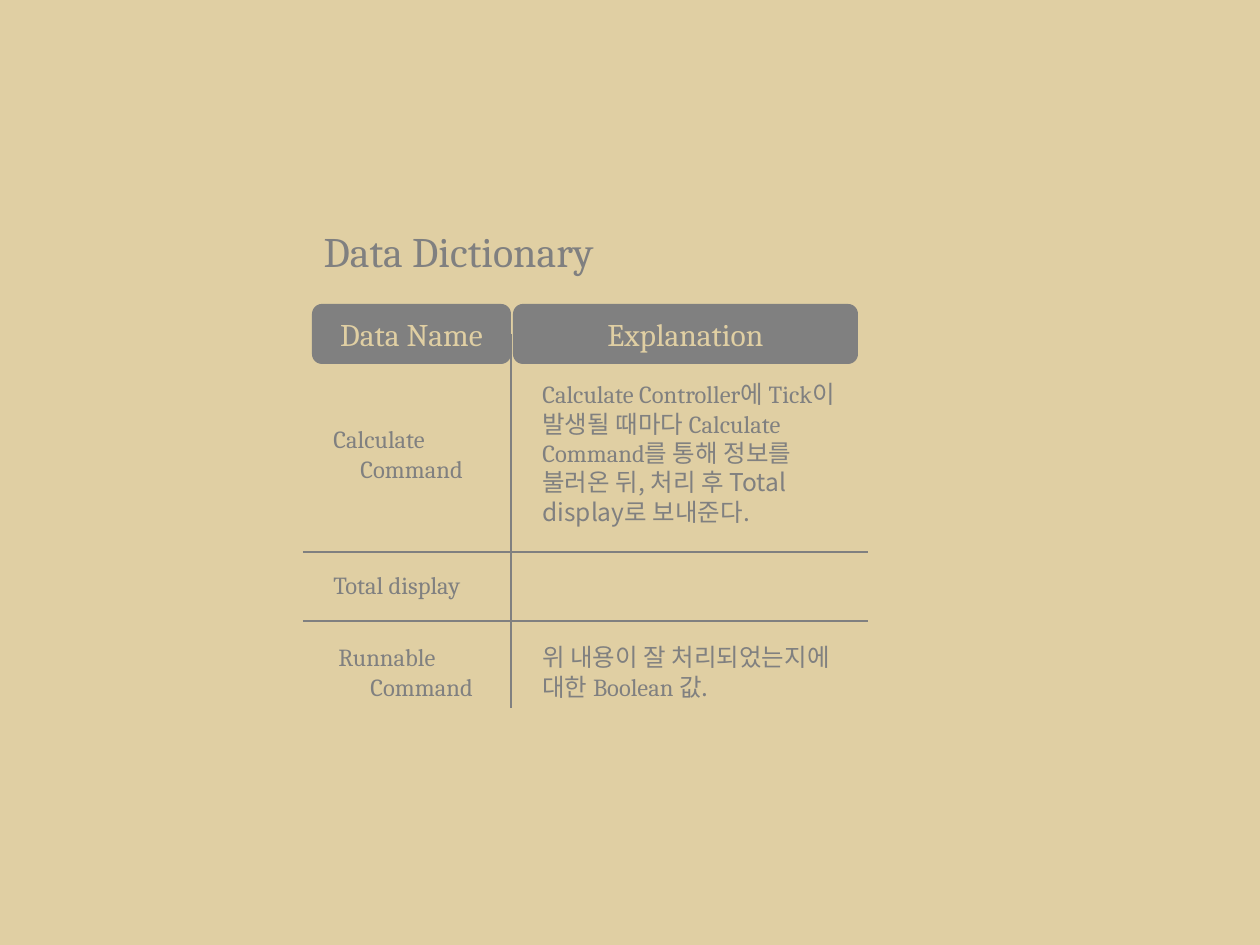
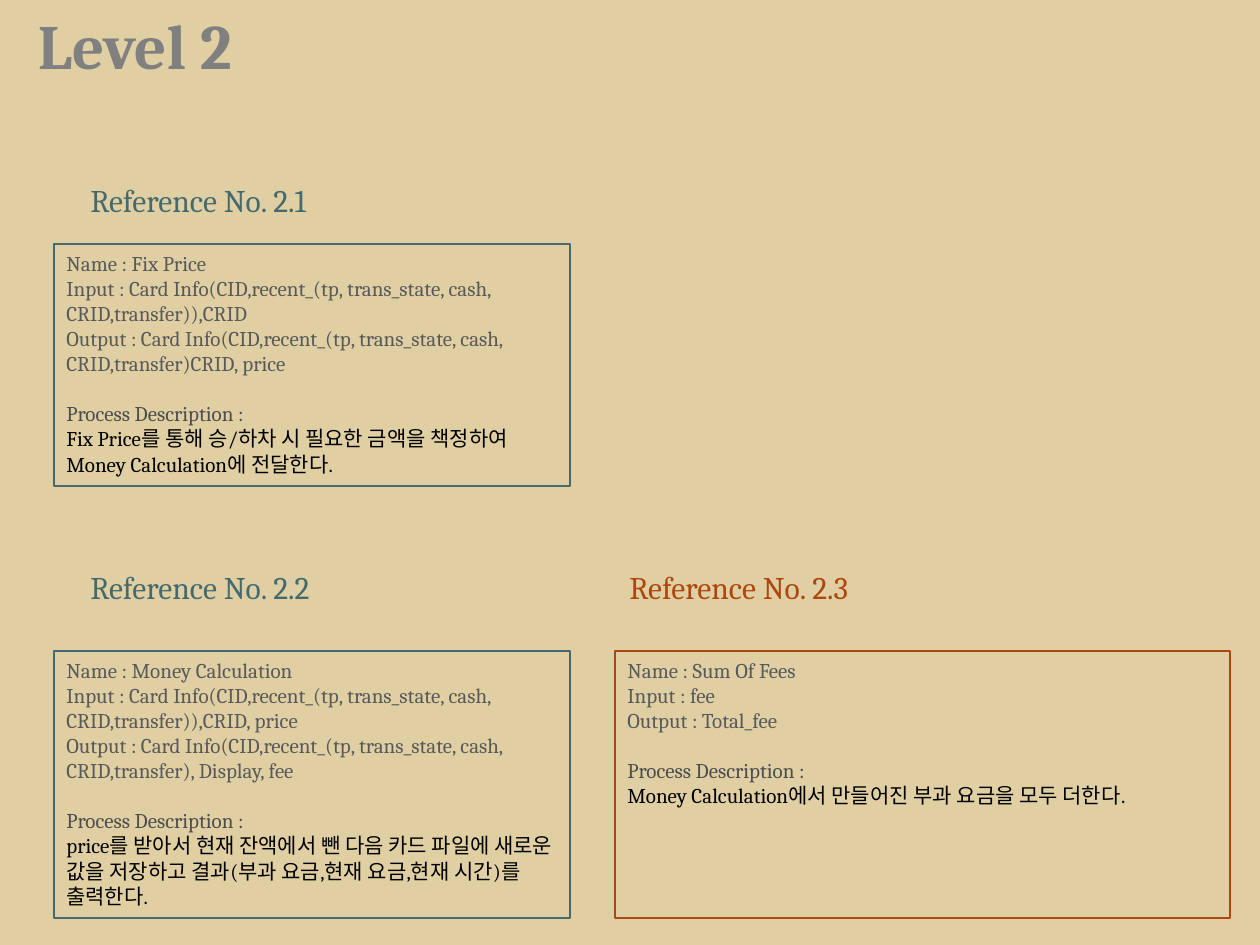
"""Builds a data dictionary slide and a process reference slide."""
from dataclasses import dataclass

from lxml.etree import SubElement
from pptx import Presentation
from pptx.dml.color import RGBColor
from pptx.enum.shapes import MSO_CONNECTOR, MSO_SHAPE
from pptx.enum.text import MSO_ANCHOR, PP_ALIGN
from pptx.oxml.ns import qn
from pptx.util import Emu, Pt


@dataclass(frozen=True)
class Theme:
    sand: str = "E0CFA3"
    gray: str = "808080"
    teal: str = "46696D"
    rust: str = "AE460F"
    field: str = "595959"
    caption: str = "4D4D4D"
    ink: str = "000000"
    latin: str = "Cambria"
    korean: str = "Noto Sans CJK KR"
    level: int = 36
    title: int = 24
    head: int = 18
    entry: int = 14
    detail: int = 12
    rule: float = 0.75
    gap: int = 14


T = Theme()
PX = 914400 / 126

DICTIONARY_TITLE = ("Data Dictionary", (311, 219, 335, 63))
HEADERS = [("Data Name", 312, 199), ("Explanation", 513, 345)]
HEADER_TOP, HEADER_H = 304, 60
RULES_Y = [552, 621]
RULE_LEFT, RULE_RIGHT = 303, 868
DIVIDER_BOTTOM = 708

NAMES = [
    (["Calculate", "Command"], (321, 418, 197, 72), 27),
    (["Total display"], (321, 564, 166, 43), 0),
    (["Runnable", "Command"], (326, 636, 166, 72), 32),
]
EXPLANATIONS = [
    ([("Calculate Controller", T.latin), ("에 ", T.korean), ("Tick", T.latin),
      ("이 발생될 때마다 ", T.korean), ("Calculate Command", T.latin),
      ("를 통해 정보를 불러온 뒤, 처리 후 Total display로 보내준다.", T.korean)],
     (530, 373, 338, 190)),
    ([("위 내용이 잘 처리되었는지에 대한 ", T.korean), ("Boolean", T.latin),
      (" 값.", T.korean)],
     (530, 636, 338, 102)),
]

LEVEL_TITLE = ("Level 2", (0, 0, 270, 89))
COLUMNS = [(54, 516, 78, T.teal), (615, 615, 617, T.rust)]
ROWS = [(175, 244, 242), (562, 651, 267)]
LABEL_W, LABEL_H = 261, 50
CARD = "Card Info(CID,recent_(tp, trans_state, cash, CRID,transfer)"
PROCESSES = [
    ("2.1", 0, 0, "Fix Price", f"{CARD}),CRID", f"{CARD}CRID, price",
     "Fix Price를 통해 승/하차 시 필요한 금액을 책정하여 Money Calculation에 전달한다."),
    ("2.2", 0, 1, "Money Calculation", f"{CARD}),CRID, price",
     f"{CARD}, Display, fee",
     "price를 받아서 현재 잔액에서 뺀 다음 카드 파일에 새로운 값을 저장하고 "
     "결과(부과 요금,현재 요금,현재 시간)를 출력한다."),
    ("2.3", 1, 1, "Sum Of Fees", "fee", "Total_fee",
     "Money Calculation에서 만들어진 부과 요금을 모두 더한다."),
]


def px(*values):
    return [Emu(round(v * PX)) for v in values]


def rgb(color):
    return RGBColor.from_string(color)


def style_run(r, size, color, font=T.latin, bold=False):
    r.font.size, r.font.bold, r.font.name = Pt(size), bold, font
    r.font.color.rgb = rgb(color)
    SubElement(r.font._element, qn("a:ea"), typeface=T.korean)


def style_text(tf, size, color, align=PP_ALIGN.LEFT, bold=False):
    for p in tf.paragraphs:
        p.alignment = align
        for r in p.runs:
            style_run(r, size, color, bold=bold)


def add_text(s, text, box, size, color, wrap=True):
    tf = s.shapes.add_textbox(*px(*box)).text_frame
    tf.word_wrap = wrap
    tf.text = text
    style_text(tf, size, color)
    return tf


def add_box(s, kind, box, fill=None, line=None):
    sp = s.shapes.add_shape(kind, *px(*box))
    sp.shadow.inherit = False
    if fill:
        sp.fill.solid()
        sp.fill.fore_color.rgb = rgb(fill)
    else:
        sp.fill.background()
    if line:
        sp.line.color.rgb = rgb(line)
        sp.line.width = Pt(T.rule)
    else:
        sp.line.fill.background()
    sp.text_frame.word_wrap = True
    return sp


def add_rule(s, x1, y1, x2, y2):
    c = s.shapes.add_connector(MSO_CONNECTOR.STRAIGHT, *px(x1, y1, x2, y2))
    c.line.color.rgb = rgb(T.gray)
    c.line.width = Pt(T.rule)
    SubElement(c._element.spPr, qn("a:effectLst"))
    return c


def add_slide(prs, title, size, align=PP_ALIGN.LEFT, bold=False):
    s = prs.slides.add_slide(prs.slide_layouts[5])
    text, box = title
    sp = s.shapes.title
    sp.left, sp.top, sp.width, sp.height = px(*box)
    tf = sp.text_frame
    tf.text = text
    tf.vertical_anchor = MSO_ANCHOR.TOP
    style_text(tf, size, T.gray, align, bold)
    return s


def dictionary_slide(prs):
    s = add_slide(prs, DICTIONARY_TITLE, T.title)
    heads = []
    for text, left, width in HEADERS:
        sp = add_box(s, MSO_SHAPE.ROUNDED_RECTANGLE,
                     (left, HEADER_TOP, width, HEADER_H), fill=T.gray)
        sp.text_frame.text = text
        sp.text_frame.vertical_anchor = MSO_ANCHOR.MIDDLE
        style_text(sp.text_frame, T.head, T.sand, PP_ALIGN.CENTER)
        heads.append(sp)
    for lines, box, indent in NAMES:
        tf = add_text(s, "\n".join(lines), box, T.entry, T.gray)
        for p in tf.paragraphs[1:]:
            p._p.get_or_add_pPr().set("marL", str(px(indent)[0]))
    for parts, box in EXPLANATIONS:
        p = add_text(s, "", box, T.entry, T.gray).paragraphs[0]
        for text, font in parts:
            r = p.add_run()
            r.text = text
            style_run(r, T.entry, T.gray, font)
    for y in RULES_Y:
        add_rule(s, RULE_LEFT, y, RULE_RIGHT, y)
    x = HEADERS[0][1] + HEADERS[0][2]
    divider = add_rule(s, x, HEADER_TOP + HEADER_H // 2, x, DIVIDER_BOTTOM)
    divider.begin_connect(heads[0], 3)


def reference_slide(prs):
    s = add_slide(prs, LEVEL_TITLE, T.level, PP_ALIGN.CENTER, True)
    for number, col, row, name, source, result, description in PROCESSES:
        left, width, label_left, color = COLUMNS[col]
        label_top, top, height = ROWS[row]
        sp = add_box(s, MSO_SHAPE.RECTANGLE, (left, top, width, height), line=color)
        tf = sp.text_frame
        tf.vertical_anchor = MSO_ANCHOR.TOP
        tf.text = "\n".join([f"Name : {name}", f"Input : {source}",
                             f"Output : {result}", "Process Description :",
                             description])
        style_text(tf, T.detail, T.field)
        caption, body = tf.paragraphs[-2:]
        caption.space_before = Pt(T.gap)
        caption.runs[0].font.color.rgb = rgb(T.caption)
        body.runs[0].font.color.rgb = rgb(T.ink)
        add_text(s, f"Reference No. {number}",
                 (label_left, label_top, LABEL_W, LABEL_H), T.head, color, wrap=False)


def main():
    prs = Presentation()
    prs.slide_width, prs.slide_height = px(1260, 945)
    fill = prs.slide_master.background.fill
    fill.solid()
    fill.fore_color.rgb = rgb(T.sand)
    dictionary_slide(prs)
    reference_slide(prs)
    prs.save("out.pptx")


if __name__ == "__main__":
    main()
